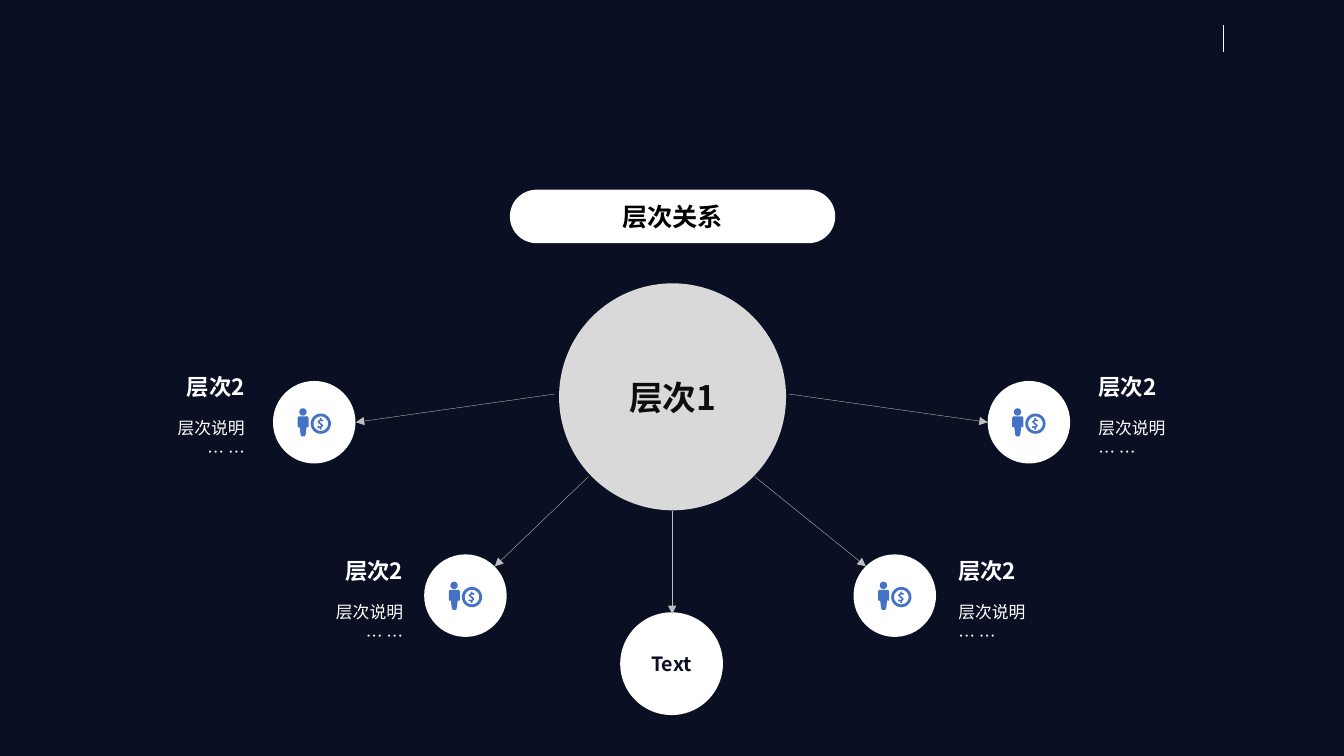
"""Build a dark slide showing one central level with its sub-levels around it."""
from dataclasses import dataclass
from math import cos, sin, tau

from lxml.etree import SubElement
from pptx import Presentation
from pptx.dml.color import RGBColor
from pptx.enum.shapes import MSO_CONNECTOR as Connector, MSO_SHAPE as Shape
from pptx.enum.text import MSO_ANCHOR as Anchor, PP_ALIGN as Align
from pptx.oxml.ns import qn
from pptx.util import Cm, Pt


@dataclass(frozen=True)
class Theme:
    font: str = "Noto Sans CJK SC"
    background: str = "0A0F23"
    white: str = "FFFFFF"
    black: str = "000000"
    hub: str = "D9D9D9"
    hub_text: str = "0D0D0D"
    arrow: str = "BFBFBF"
    icon: str = "4472C4"
    hub_size: int = 24
    heading_size: int = 18
    level_size: int = 16
    label_size: int = 14
    body_size: int = 12


THEME = Theme()

HEADING = "层次关系"
HUB = "层次1"
BOTTOM_LABEL = "Text"
LEVEL_TITLE = "层次2"
LEVEL_BODY = ["层次说明", "… …"]

# (circle left, circle top, text left, text top, alignment)
LEVELS = [
    (6.88, 9.6, 1.85, 9.17, Align.RIGHT),
    (24.89, 9.6, 27.43, 9.17, Align.LEFT),
    (10.69, 13.97, 5.84, 13.82, Align.RIGHT),
    (21.51, 13.97, 23.9, 13.82, Align.LEFT),
]
ARROWS = [
    (14.83, 12.01, 12.47, 14.27),
    (16.94, 12.88, 16.94, 15.47),
    (19.02, 12.01, 21.82, 14.27),
    (13.97, 9.93, 8.97, 10.64),
    (19.89, 9.93, 24.89, 10.64),
]
CORNER_RULE = (30.84, 0.64, 30.84, 1.3)
HEADING_PILL = (12.85, 4.78, 8.2, 1.35)
HUB_CIRCLE = (14.09, 7.14, 5.72, 5.72)
BOTTOM_CIRCLE = (15.67, 15.47, 2.51, 2.51)
LEVEL_DIAMETER = 2.08
TEXT_WIDTH, TITLE_HEIGHT, BODY_HEIGHT = 4.57, 1.12, 2.13

ICON_WIDTH, ICON_HEIGHT, ICON_UNITS = 0.84, 0.7, 330
PERSON = [(10, 80), (100, 80), (110, 95), (110, 180), (100, 190), (90, 180), (80, 260),
          (70, 278), (40, 278), (30, 260), (20, 180), (10, 190), (0, 180), (0, 95)]
DOLLAR = [(220, 97), (235, 97), (235, 110), (255, 115), (250, 130), (230, 125),
          (215, 135), (230, 145), (255, 170), (235, 195), (235, 210), (220, 210),
          (220, 197), (195, 190), (200, 175), (220, 180), (238, 172), (220, 160),
          (196, 133), (220, 111)]


def circle_points(x, y, radius, turn=1):
    angles = [turn * tau * step / 48 for step in range(48)]
    return [(x + radius * cos(angle), y + radius * sin(angle)) for angle in angles]


ICON_OUTLINES = [PERSON, circle_points(53, 36, 36), circle_points(230, 152, 100),
                 circle_points(230, 152, 72, -1), DOLLAR]


def rgb(code):
    return RGBColor.from_string(code)


def write(shape, lines, size, color, bold=False, align=Align.CENTER,
          anchor=Anchor.MIDDLE, spacing=None):
    frame = shape.text_frame
    frame.word_wrap = True
    frame.vertical_anchor = anchor
    frame.text = "\n".join(lines)
    for para in frame.paragraphs:
        para.alignment = align
        if spacing:
            para.line_spacing = spacing
        font = para.font
        font.size, font.bold, font.name = Pt(size), bold, THEME.font
        font.color.rgb = rgb(color)
        defaults = para._p.pPr.find(qn("a:defRPr"))
        SubElement(defaults, qn("a:ea")).set("typeface", THEME.font)


def paint(shape, fill):
    shape.shadow.inherit = False
    shape.fill.solid()
    shape.fill.fore_color.rgb = rgb(fill)
    shape.line.fill.background()
    return shape


def add_filled(page, kind, bounds, fill):
    return paint(page.shapes.add_shape(kind, *map(Cm, bounds)), fill)


def add_line(page, ends, color, width, arrow=False):
    line = page.shapes.add_connector(Connector.STRAIGHT, *map(Cm, ends))
    line.line.color.rgb = rgb(color)
    line.line.width = Pt(width)
    if arrow:
        SubElement(line.line._get_or_add_ln(), qn("a:tailEnd")).set("type", "triangle")
    SubElement(line._element.spPr, qn("a:effectLst"))


def add_icon(page, left, top):
    start, *rest = ICON_OUTLINES[0]
    builder = page.shapes.build_freeform(*start, scale=Cm(ICON_WIDTH) / ICON_UNITS)
    builder.add_line_segments(rest)
    for start, *rest in ICON_OUTLINES[1:]:
        builder.move_to(*start)
        builder.add_line_segments(rest)
    paint(builder.convert_to_shape(Cm(left), Cm(top)), THEME.icon)


def add_level(page, left, top, text_left, text_top, align):
    add_filled(page, Shape.OVAL, (left, top, LEVEL_DIAMETER, LEVEL_DIAMETER), THEME.white)
    add_icon(page, left + (LEVEL_DIAMETER - ICON_WIDTH) / 2,
             top + (LEVEL_DIAMETER - ICON_HEIGHT) / 2)
    title = page.shapes.add_textbox(Cm(text_left), Cm(text_top),
                                    Cm(TEXT_WIDTH), Cm(TITLE_HEIGHT))
    write(title, [LEVEL_TITLE], THEME.level_size, THEME.white, True, align)
    body = page.shapes.add_textbox(Cm(text_left), Cm(text_top + TITLE_HEIGHT),
                                   Cm(TEXT_WIDTH), Cm(BODY_HEIGHT))
    write(body, LEVEL_BODY, THEME.body_size, THEME.white, False, align, Anchor.TOP, 1.2)


def main():
    deck = Presentation()
    deck.slide_width, deck.slide_height = Cm(33.87), Cm(19.05)
    page = deck.slides.add_slide(deck.slide_layouts[6])
    page.background.fill.solid()
    page.background.fill.fore_color.rgb = rgb(THEME.background)

    add_line(page, CORNER_RULE, THEME.white, 0.5)
    pill = add_filled(page, Shape.ROUNDED_RECTANGLE, HEADING_PILL, THEME.white)
    pill.adjustments[0] = 0.5
    write(pill, [HEADING], THEME.heading_size, THEME.black, True)

    bottom = add_filled(page, Shape.OVAL, BOTTOM_CIRCLE, THEME.white)
    bottom.line.color.rgb = rgb(THEME.white)
    bottom.line.width = Pt(2.25)
    write(bottom, [BOTTOM_LABEL], THEME.label_size, THEME.background, True)

    for level in LEVELS:
        add_level(page, *level)
    for ends in ARROWS:
        add_line(page, ends, THEME.arrow, 0.25, arrow=True)

    hub = add_filled(page, Shape.OVAL, HUB_CIRCLE, THEME.hub)
    write(hub, [HUB], THEME.hub_size, THEME.hub_text, True)
    deck.save("out.pptx")


if __name__ == "__main__":
    main()
